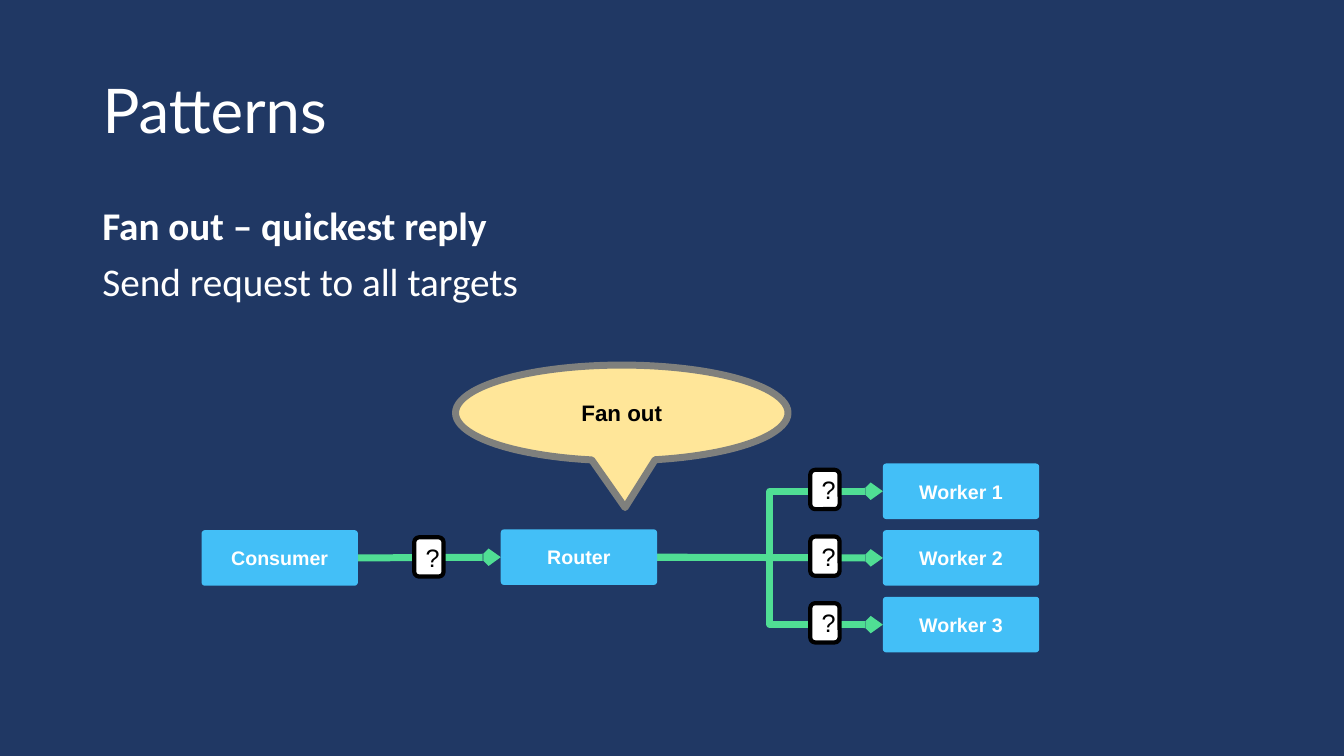
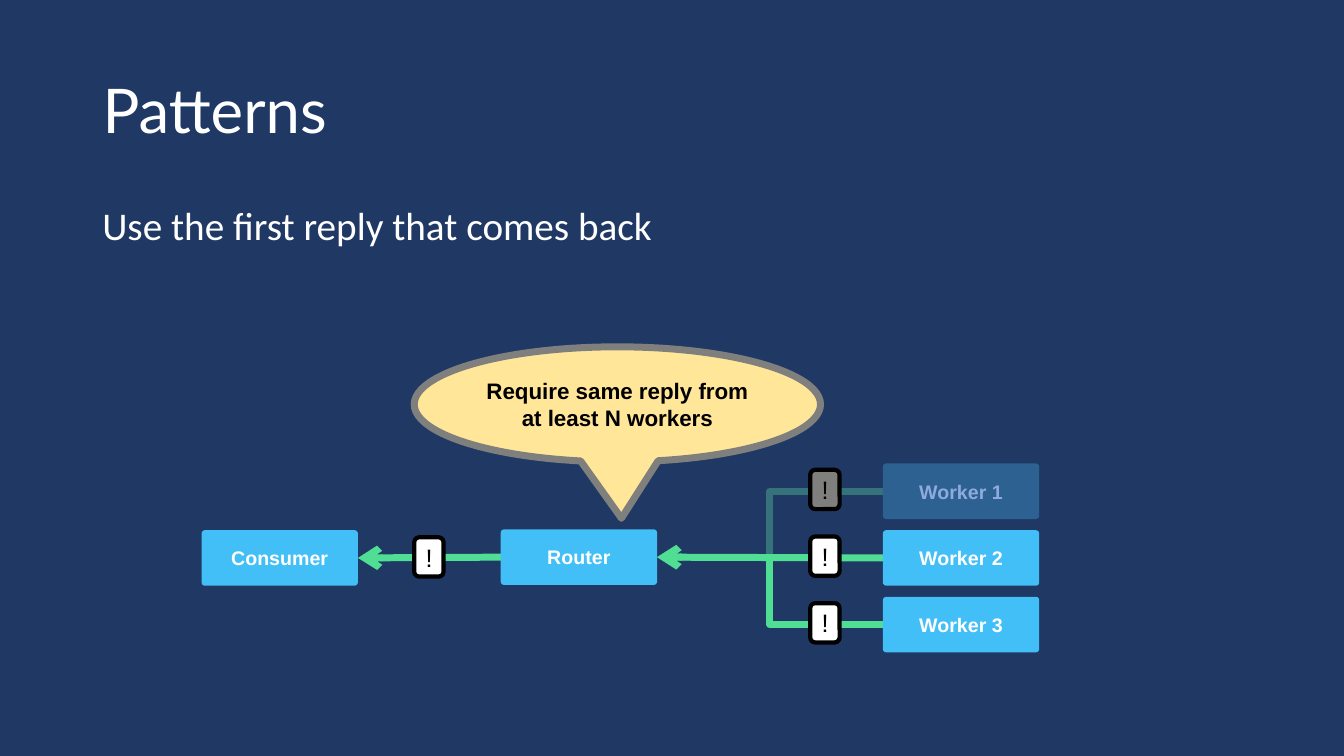
from lxml import etree
from pptx import Presentation
from pptx import util as u
from pptx.dml.color import RGBColor
from pptx.enum import shapes, text
from pptx.oxml.ns import qn

HUES = {
    "back": "203864", "white": "FFFFFF", "black": "000000",
    "blue": "43BFF7", "green": "50DE94", "cream": "FFE699", "grey": "7F807D",
    "dimbox": "2C6191", "dimtext": "8FAADC", "dimline": "36727A",
}
TITLE = "Patterns"
WORKERS = ["Worker 1", "Worker 2", "Worker 3"]
SLIDES = [
    {"body": [("Fan out – quickest reply", True), ("Send request to all targets", False)],
     "mark": "?", "end": "tailEnd", "size": "sm", "dim": [],
     "note": "Fan out", "place": (11.48, 9.2, 8.38, 2.41)},
    {"body": [("Use the first reply that comes back", False)],
     "mark": "!", "end": "headEnd", "size": "med", "dim": [0],
     "note": "Require same reply from at least N workers",
     "place": (10.44, 8.74, 10.24, 2.9)},
]
BOX = (3.94, 1.4)
TAG = (0.74, 0.99)
USER = (5.08, 13.36)
ROUTER = (12.62, 13.34)
WORK = (22.25, 11.68)
STEP = 1.68
KIND = shapes.MSO_SHAPE
LINK = shapes.MSO_CONNECTOR


def hue(name):
    return RGBColor.from_string(HUES[name])


def style(para, size, face, color, bold=False):
    font = para.font
    font.size, font.name, font.bold = u.Pt(size), face, bold
    font.color.rgb = hue(color)


def add_node(slide, kind, place, label, size, fill, ink, bold=True, edge=None, width=0):
    node = slide.shapes.add_shape(kind, *map(u.Cm, place))
    node.shadow.inherit = False
    node.fill.solid()
    node.fill.fore_color.rgb = hue(fill)
    if edge:
        node.line.color.rgb = hue(edge)
        node.line.width = u.Pt(width)
    else:
        node.line.fill.background()
    frame = node.text_frame
    frame.word_wrap = True
    frame.vertical_anchor = text.MSO_ANCHOR.MIDDLE
    para = frame.paragraphs[0]
    para.text = label
    para.alignment = text.PP_ALIGN.CENTER
    style(para, size, "Arial", ink, bold)
    return node


def add_box(slide, spot, label, dim=False):
    fill, ink = ("dimbox", "dimtext") if dim else ("blue", "white")
    box = add_node(slide, KIND.ROUNDED_RECTANGLE, spot + BOX, label, 14, fill, ink)
    box.adjustments[0] = 0.06
    return box


def add_tag(slide, spot, mark, dim=False):
    add_node(slide, KIND.ROUNDED_RECTANGLE, spot + TAG, mark, 18,
             "grey" if dim else "white", "black", False, "black", 3)


def add_link(slide, kind, color, end, size):
    link = slide.shapes.add_connector(kind, 0, 0, 0, 0)
    link.line.color.rgb = hue(color)
    link.line.width = u.Pt(5)
    etree.SubElement(link.line._get_or_add_ln(), qn("a:" + end),
                     type="arrow", w=size, len=size)
    etree.SubElement(link._element.spPr, qn("a:effectLst"))
    return link


def join(link, start, stop):
    link.begin_connect(start, 3)
    link.end_connect(stop, 1)


def add_text(slide, lines):
    title = slide.shapes.title
    title.left, title.top, title.width, title.height = map(u.Cm, (2.33, 1.01, 29.21, 3.68))
    frame = title.text_frame
    frame.auto_size = text.MSO_AUTO_SIZE.NONE
    frame.vertical_anchor = text.MSO_ANCHOR.MIDDLE
    para = frame.paragraphs[0]
    para.text = TITLE
    para.alignment = text.PP_ALIGN.LEFT
    para.line_spacing = 0.9
    style(para, 44, "Lato", "white")

    body = slide.shapes.add_textbox(*map(u.Cm, (2.33, 5.07, 29.21, 12.09))).text_frame
    body.word_wrap = True
    for i, (line, bold) in enumerate(lines):
        para = body.add_paragraph() if i else body.paragraphs[0]
        para.text = line
        para.line_spacing = 0.9
        para.space_before = u.Pt(10 if i else 0)
        style(para, 28, "Calibri", "white", bold)


def add_flow(slide, data):
    ends = data["end"], data["size"]
    dims = [i in data["dim"] for i in range(len(WORKERS))]
    fans = {}
    for i in (2, 0, 1):
        kind = LINK.STRAIGHT if i == 1 else LINK.ELBOW
        fans[i] = add_link(slide, kind, "dimline" if dims[i] else "green", *ends)
    feed = add_link(slide, LINK.STRAIGHT, "green", *ends)

    for i, dim in enumerate(dims):
        add_tag(slide, (20.42, 11.84 + i * STEP), data["mark"], dim)
    add_tag(slide, (10.44, 13.54), data["mark"])

    router = add_box(slide, ROUTER, "Router")
    for i, name in enumerate(WORKERS):
        box = add_box(slide, (WORK[0], WORK[1] + i * STEP), name, dims[i])
        join(fans[i], router, box)
    note = add_node(slide, KIND.OVAL_CALLOUT, data["place"], data["note"], 16,
                    "cream", "black", True, "grey", 5)
    note.adjustments[0], note.adjustments[1] = 0.01, 0.99
    join(feed, add_box(slide, USER, "Consumer"), router)


def main():
    deck = Presentation()
    deck.slide_width, deck.slide_height = u.Cm(33.87), u.Cm(19.05)
    back = deck.slide_master.background.fill
    back.solid()
    back.fore_color.rgb = hue("back")
    for data in SLIDES:
        slide = deck.slides.add_slide(deck.slide_layouts[5])
        add_text(slide, data["body"])
        add_flow(slide, data)
    deck.save("out.pptx")


if __name__ == "__main__":
    main()
